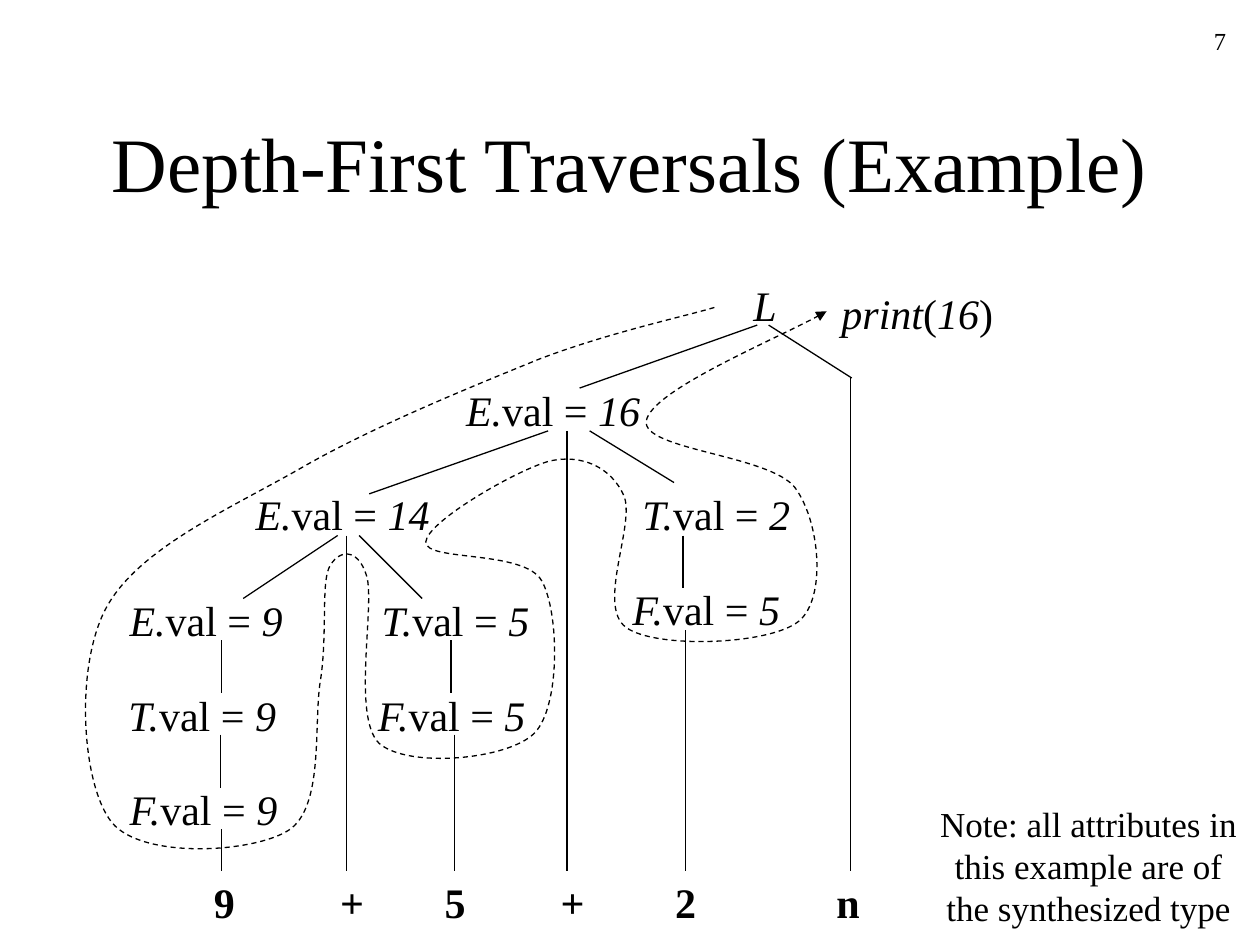
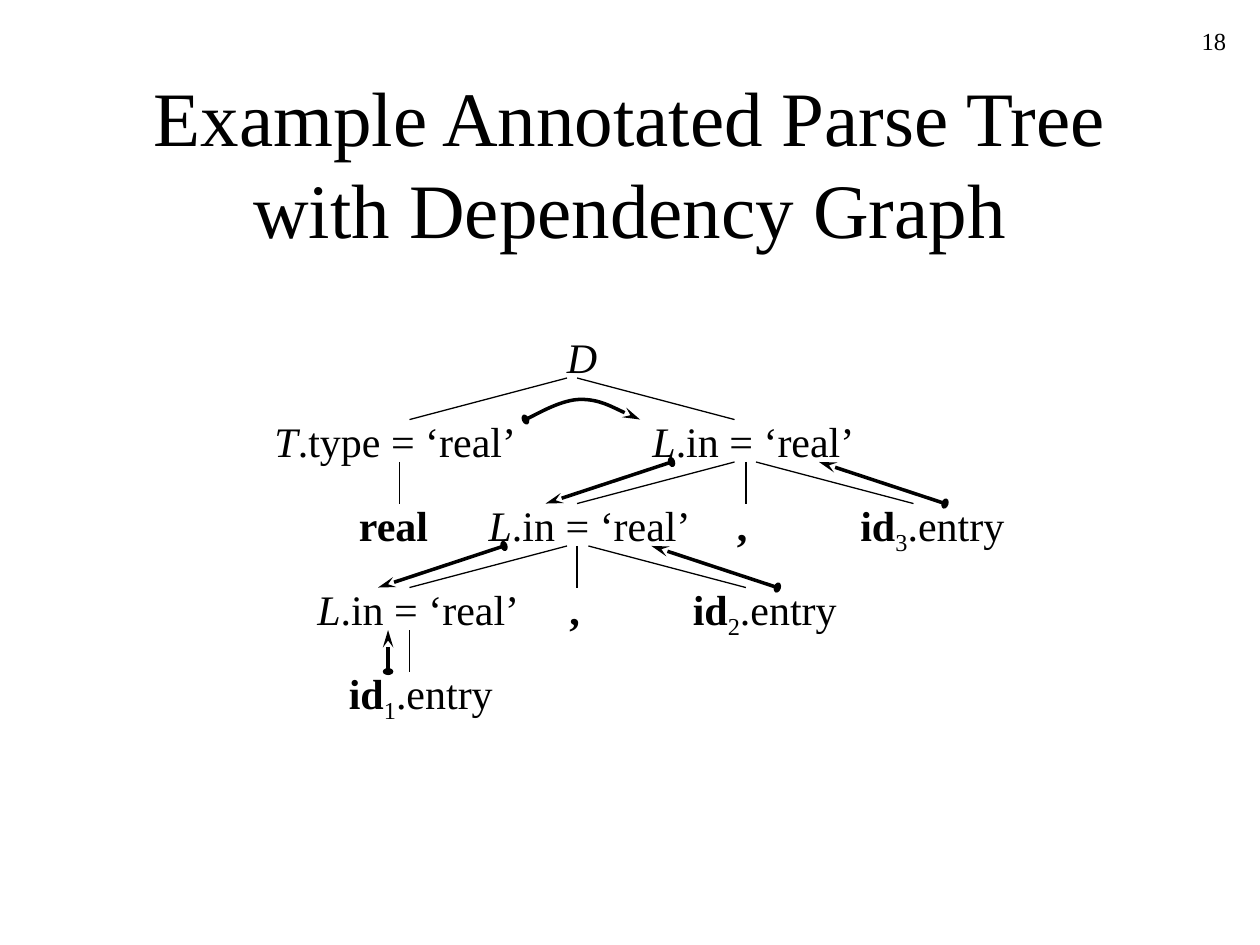
from lxml import etree
from pptx import Presentation
from pptx.dml.color import RGBColor
from pptx.enum.dml import MSO_LINE
from pptx.enum.shapes import MSO_CONNECTOR
from pptx.enum.text import MSO_ANCHOR, MSO_AUTO_SIZE as AutoSize, PP_ALIGN as Align
from pptx.oxml.ns import qn
from pptx.util import Cm, Pt

BLACK = RGBColor(0x00, 0x00, 0x00)
FONT = "Times New Roman"
GRID = 2.54
PLAIN, ITALIC, BOLD = {}, {"italic": True}, {"bold": True}
FITTED = {"word_wrap": False, "auto_size": AutoSize.SHAPE_TO_FIT_TEXT}
WRAPPED = {"word_wrap": True, "auto_size": AutoSize.NONE}


def write_text(slide, left, top, width, height, pieces, size=24, align=Align.LEFT, frame_format=FITTED):
    box = slide.shapes.add_textbox(*(Cm(GRID * value) for value in (left, top, width, height)))
    for name, value in frame_format.items():
        setattr(box.text_frame, name, value)
    paragraph = box.text_frame.paragraphs[0]
    paragraph.alignment = align
    for text, style in pieces:
        for number, line in enumerate(text.split("\n")):
            if number:
                paragraph.add_line_break()
            run = paragraph.add_run()
            run.text = line
            run.font.color.rgb = BLACK
            font_format = {"name": FONT, "size": Pt(size), **style}
            baseline = font_format.pop("baseline", None)
            for name, value in font_format.items():
                setattr(run.font, name, value)
            if baseline:
                run.font._element.set("baseline", baseline)
    return box


def draw_line(slide, points, width=0.75, head=None, tail=None, dash=None):
    points = [(Cm(GRID * x), Cm(GRID * y)) for x, y in points]
    if len(points) == 2:
        shape = slide.shapes.add_connector(MSO_CONNECTOR.STRAIGHT, *points[0], *points[1])
    else:
        builder = slide.shapes.build_freeform(*points[0])
        builder.add_line_segments(points[1:], close=False)
        shape = builder.convert_to_shape()
        shape.fill.background()
        segments = list(shape._element.iter(qn("a:lnTo")))
        for first in range(0, len(segments), 3):
            curve = etree.SubElement(segments[first].getparent(), qn("a:cubicBezTo"))
            for segment in segments[first:first + 3]:
                curve.append(segment[0])
                segment.getparent().remove(segment)
    shape.line.color.rgb = BLACK
    shape.line.width = Pt(width)
    if dash:
        shape.line.dash_style = dash
    properties = shape._element.spPr
    outline = properties.find(qn("a:ln"))
    for tag, ending in (("a:headEnd", head), ("a:tailEnd", tail)):
        if ending:
            etree.SubElement(outline, qn(tag), ending)
    etree.SubElement(properties, qn("a:effectLst"))
    return shape


presentation = Presentation()
presentation.slide_width = Cm(25.4)
presentation.slide_height = Cm(19.05)

slides = []
for title, page in (
    ("Depth-First Traversals (Example)", "7"),
    ("Example Annotated Parse Tree with Dependency Graph", "18"),
):
    slide = presentation.slides.add_slide(presentation.slide_layouts[6])
    write_text(slide, 0.75, 0.66, 8.5, 1.25, [(title, PLAIN)], 44, Align.CENTER,
               {**WRAPPED, "vertical_anchor": MSO_ANCHOR.MIDDLE})
    write_text(slide, 7.75, 0.16, 2.08, 0.5, [(page, PLAIN)], 14, Align.RIGHT, WRAPPED)
    slides.append(slide)
traversal_slide, dependency_slide = slides

node_widths = {"E": 1.44, "T": 1.42, "F": 1.44}
digit_width = 0.17
for symbol, value, left, top in (
    ("E", "16", 3.6, 3), ("E", "14", 1.93, 3.83), ("T", "2", 5, 3.83),
    ("E", "9", 0.93, 4.67), ("T", "5", 2.93, 4.67), ("F", "5", 4.92, 4.58),
    ("T", "9", 0.92, 5.42), ("F", "5", 2.9, 5.42), ("F", "9", 0.93, 6.17),
):
    width = node_widths[symbol] + digit_width * (len(value) - 1)
    write_text(traversal_slide, left, top, width, 0.5,
               [(symbol + ".", ITALIC), ("val = ", PLAIN), (value, ITALIC)])

write_text(traversal_slide, 5.88, 2.17, 0.38, 0.5, [("L", ITALIC)])
write_text(traversal_slide, 6.58, 2.23, 1.44, 0.5,
           [("print", ITALIC), ("(", PLAIN), ("16", ITALIC), (")", PLAIN)])
write_text(traversal_slide, 7.36, 6.32, 2.56, 1.1,
           [("Note: all attributes in\nthis example are of\nthe synthesized type", PLAIN)],
           20, Align.CENTER)

leaf_top = 6.91
for token, left, width, stem, stem_top in (
    ("9", 1.6, 0.36, 1.76, 6.58), ("+", 2.6, 0.39, 2.75, 4.25), ("5", 3.43, 0.36, 3.61, 5.83),
    ("+", 4.35, 0.39, 4.5, 3.42), ("2", 5.26, 0.36, 5.44, 5), ("n", 6.54, 0.38, 6.75, 3),
):
    leaf = write_text(traversal_slide, left, leaf_top, width, 0.5, [(token, BOLD)])
    connector = draw_line(traversal_slide, [(stem, stem_top), (stem, leaf_top)])
    if abs(left + width / 2 - stem) < 0.01:
        connector.end_connect(leaf, 0)

for branch in (
    [(6.01, 2.58), (4.6, 3.08)], [(6.1, 2.58), (6.76, 3)],
    [(4.35, 3.42), (2.93, 3.92)], [(4.68, 3.42), (5.35, 3.83)],
    [(2.68, 4.25), (1.93, 4.75)], [(2.85, 4.25), (3.35, 4.75)],
):
    draw_line(traversal_slide, branch)
for x, top in ((5.42, 4.25), (1.76, 5.08), (3.58, 5.08), (1.75, 5.83)):
    draw_line(traversal_slide, [(x, top), (x, top + 0.42)])

traversal_route = [
    (5.67, 2.44),
    (5.44, 2.51), (4.83, 2.64), (4.28, 2.85),
    (3.74, 3.07), (2.95, 3.39), (2.38, 3.72),
    (1.8, 4.05), (1.09, 4.36), (0.84, 4.83),
    (0.59, 5.3), (0.65, 6.24), (0.89, 6.53),
    (1.13, 6.82), (2.01, 6.77), (2.29, 6.59),
    (2.57, 6.41), (2.49, 5.77), (2.54, 5.42),
    (2.6, 5.07), (2.55, 4.65), (2.61, 4.51),
    (2.68, 4.36), (2.84, 4.34), (2.91, 4.57),
    (2.98, 4.8), (2.79, 5.69), (3.01, 5.9),
    (3.24, 6.1), (4.03, 6.03), (4.24, 5.82),
    (4.45, 5.61), (4.44, 4.86), (4.3, 4.61),
    (4.16, 4.36), (3.37, 4.46), (3.38, 4.3),
    (3.39, 4.14), (4.1, 3.73), (4.36, 3.66),
    (4.62, 3.6), (4.85, 3.71), (4.95, 3.93),
    (5.05, 4.15), (4.73, 4.81), (4.97, 4.98),
    (5.2, 5.15), (6.11, 5.12), (6.34, 4.93),
    (6.56, 4.75), (6.51, 4.14), (6.31, 3.87),
    (6.11, 3.61), (5.09, 3.57), (5.13, 3.34),
    (5.17, 3.1), (6.26, 2.65), (6.56, 2.47),
]
draw_line(traversal_slide, traversal_route, tail={"type": "triangle"}, dash=MSO_LINE.DASH)

level_step = 2 / 3
first_text_top, first_edge_top, edge_height = 2.58, 3, 0.33
inherited = [("L", ITALIC), (".in = ‘real’", PLAIN)]
comma = [(",", BOLD)]
for level, left, width, pieces in (
    (0, 4.4, 0.44, [("D", ITALIC)]),
    (1, 2.08, 2.15, [("T", ITALIC), (".type = ‘real’", PLAIN)]),
    (1, 5.08, 1.84, inherited),
    (2, 2.75, 0.75, [("real", BOLD)]),
    (2, 3.78, 1.84, inherited),
    (2, 5.75, 0.28, comma),
    (3, 2.42, 1.84, inherited),
    (3, 4.42, 0.28, comma),
):
    write_text(dependency_slide, left, first_text_top + level * level_step, width, 0.5, pieces)

for level, left, index in ((4, 2.67, "1"), (3, 5.4, "2"), (2, 6.73, "3")):
    write_text(dependency_slide, left, first_text_top + level * level_step, 1.36, 0.56,
               [("id", BOLD), (index, {"baseline": "-25000"}), (".entry", PLAIN)])

source_dot = {"type": "oval", "w": "med", "len": "sm"}
target_arrow = {"type": "stealth", "w": "med", "len": "lg"}
thin = {"width": 0.75}
downward = {"width": 2, "head": source_dot, "tail": target_arrow}
upward = {"width": 2, "head": target_arrow, "tail": source_dot}
for line_format, edges in (
    (thin, ((0, 4.5, 3.25), (0, 4.58, 5.83), (1, 3.17, 3.17), (1, 5.83, 4.58), (1, 5.92, 5.92),
            (1, 6, 7.25), (2, 4.5, 3.25), (2, 4.58, 4.58), (2, 4.67, 5.92), (3, 3.25, 3.25))),
    (downward, ((1, 5.33, 4.33), (2, 4, 3))),
    (upward, ((1, 6.5, 7.5), (2, 5.17, 6.17), (3, 3.08, 3.08))),
):
    for level, upper_x, lower_x in edges:
        top = first_edge_top + level * level_step
        draw_line(dependency_slide, [(upper_x, top), (lower_x, top + edge_height)], **line_format)

type_to_list = [(4.17, 3.33), (4.24, 3.3), (4.46, 3.17), (4.61, 3.17),
                (4.76, 3.17), (4.98, 3.29), (5.08, 3.33)]
draw_line(dependency_slide, type_to_list, **downward)

presentation.save("out.pptx")
